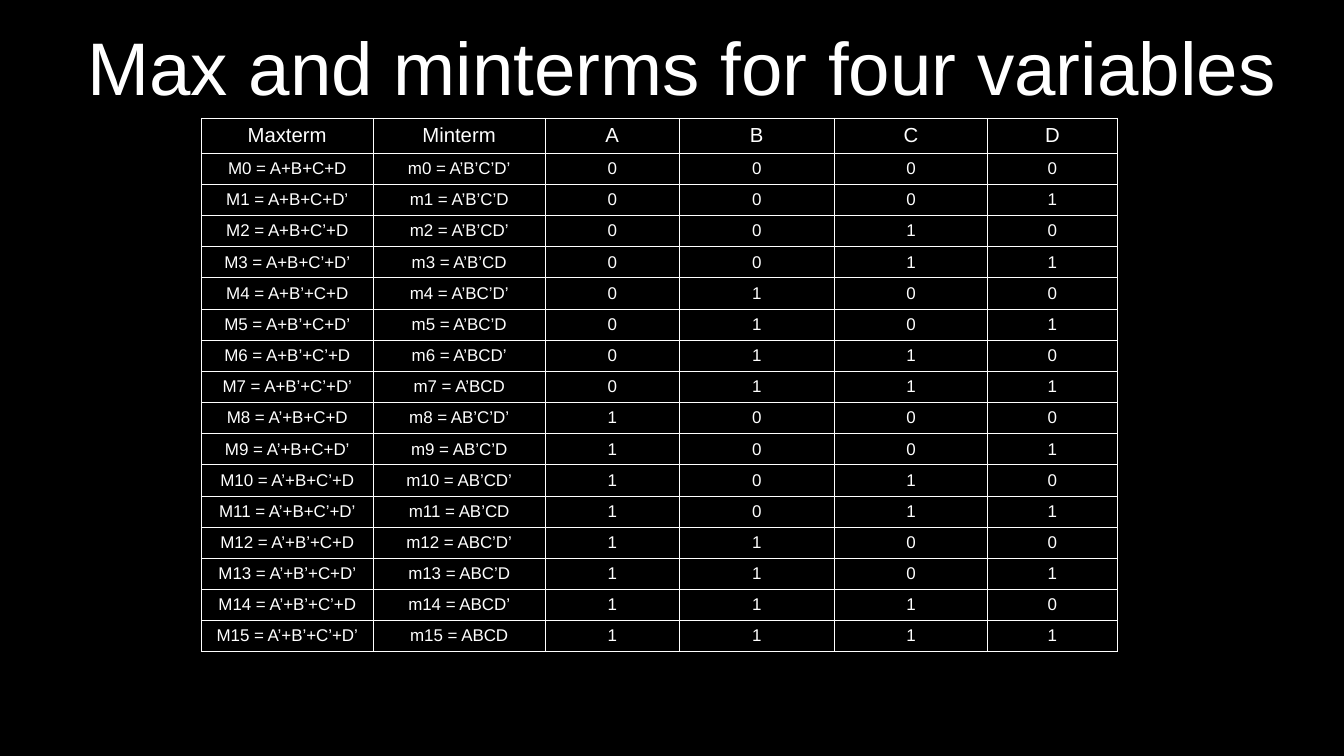
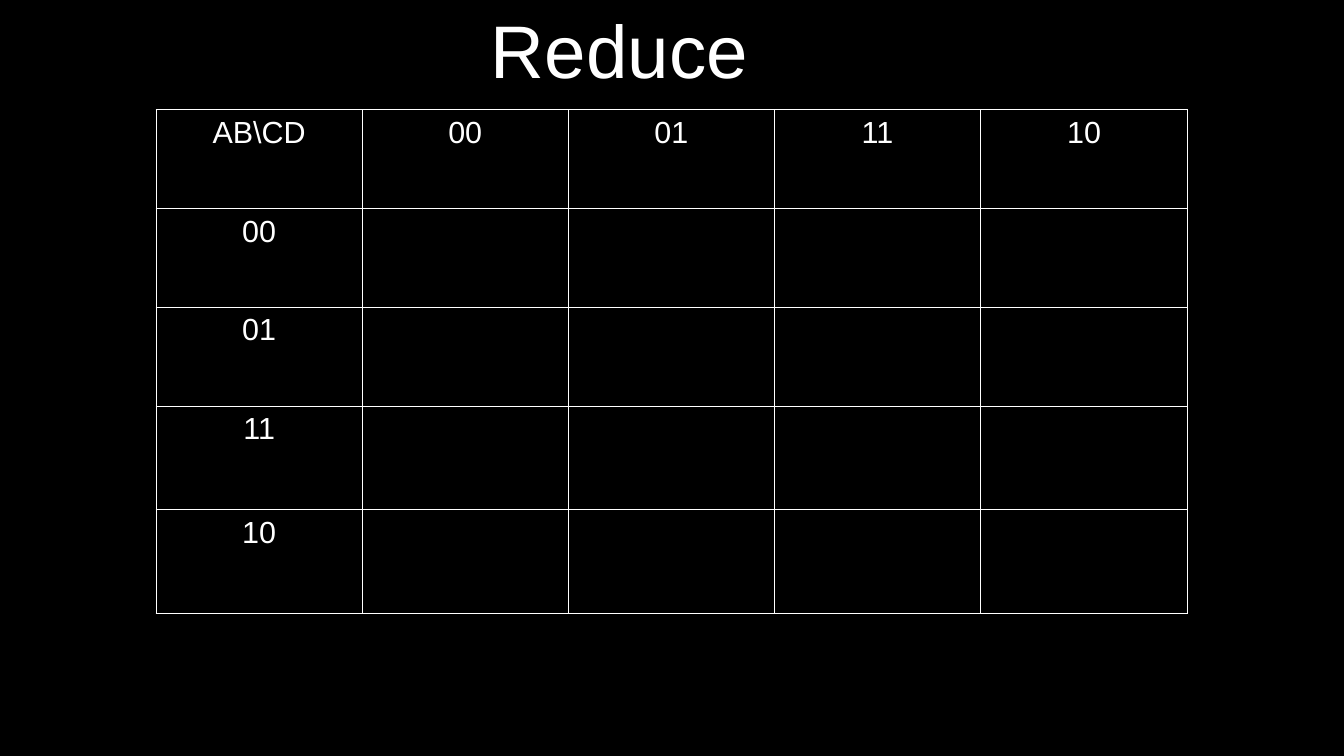
import itertools

import pptx
import pptx.dml.color
import pptx.enum.text
import pptx.oxml
import pptx.oxml.ns
import pptx.util

Inches, Pt = pptx.util.Inches, pptx.util.Pt
CENTER = pptx.enum.text.PP_ALIGN.CENTER
MIDDLE = pptx.enum.text.MSO_ANCHOR.MIDDLE

# Shared style
BLACK, WHITE, FONT = "000000", "FFFFFF", "Arial"
TITLE_SIZE, BORDER = 44, Pt(0.57)
MARGIN_X, MARGIN_Y = Inches(0.04), Inches(0.05)

# Content: truth table of four variables, and an empty Karnaugh map
VARIABLES = "ABCD"
GRAY_CODE = ["00", "01", "11", "10"]


def literals(bits, primed_bit, joiner):
    return joiner.join(v + ("’" if b == primed_bit else "")
                       for v, b in zip(VARIABLES, bits))


term_rows = [["Maxterm", "Minterm", *VARIABLES]]
for i, bits in enumerate(itertools.product("01", repeat=len(VARIABLES))):
    term_rows.append([f"M{i} = {literals(bits, '1', '+')}",
                      f"m{i} = {literals(bits, '0', '')}", *bits])

map_rows = [["AB\\CD", *GRAY_CODE]]
map_rows += [[code] + [""] * len(GRAY_CODE) for code in GRAY_CODE]

SLIDES = [
    dict(title="Max and minterms for four variables",
         title_box=(0.16, 0, 10.87, 1.08),
         rows=term_rows, origin=(1.65, 0.97),
         widths=[1.41, 1.41, 1.1, 1.27, 1.26, 1.06],
         heights=[0.23] * len(term_rows), header_size=12, body_size=10),
    dict(title="Reduce",
         title_box=(0.16, 0.04, 9.84, 0.72),
         rows=map_rows, origin=(1.28, 0.9),
         widths=[1.69] * 4 + [1.7],
         heights=[0.81] * 3 + [0.85] * 2, header_size=18, body_size=18),
]


def color(hex_string):
    return pptx.dml.color.RGBColor.from_string(hex_string)


def format_text(tf, size):
    for p in tf.paragraphs:
        p.alignment = CENTER
        for font in [p.font] + [r.font for r in p.runs]:
            font.name, font.size = FONT, Pt(size)
            font.color.rgb = color(WHITE)


def add_borders(cell):
    tc_pr = cell._tc.get_or_add_tcPr()
    for side in "LRTB":
        tc_pr.append(pptx.oxml.parse_xml(
            f'<a:ln{side} {pptx.oxml.ns.nsdecls("a")} w="{int(BORDER)}">'
            f'<a:solidFill><a:srgbClr val="{WHITE}"/></a:solidFill>'
            f'</a:ln{side}>'))


def set_title(s, text, box):
    title = s.shapes.title
    title.left, title.top, title.width, title.height = map(Inches, box)
    tf = title.text_frame
    tf.text = text
    tf.word_wrap = True
    tf.vertical_anchor = MIDDLE
    tf.auto_size = pptx.enum.text.MSO_AUTO_SIZE.NONE
    tf.margin_left = tf.margin_right = tf.margin_top = tf.margin_bottom = 0
    format_text(tf, TITLE_SIZE)


def add_grid(s, rows, origin, widths, heights, header_size, body_size):
    frame = s.shapes.add_table(
        len(rows), len(widths), *map(Inches, origin),
        Inches(sum(widths)), Inches(sum(heights)))
    table = frame.table
    table.first_row = table.horz_banding = False
    for column, width in zip(table.columns, widths):
        column.width = Inches(width)
    for r, (row, height) in enumerate(zip(rows, heights)):
        table.rows[r].height = Inches(height)
        for c, text in enumerate(row):
            cell = table.cell(r, c)
            cell.margin_left = cell.margin_right = MARGIN_X
            cell.margin_top = cell.margin_bottom = MARGIN_Y
            add_borders(cell)
            cell.fill.solid()
            cell.fill.fore_color.rgb = color(BLACK)
            cell.text_frame.text = text
            format_text(cell.text_frame, body_size if r else header_size)


def main():
    prs = pptx.Presentation()
    prs.slide_width, prs.slide_height = Inches(11.02), Inches(6.2)
    background = prs.slide_master.background.fill
    background.solid()
    background.fore_color.rgb = color(BLACK)
    title_only = prs.slide_layouts.get_by_name("Title Only")

    for content in SLIDES:
        s = prs.slides.add_slide(title_only)
        grid = dict(content)
        set_title(s, grid.pop("title"), grid.pop("title_box"))
        add_grid(s, **grid)

    prs.save("out.pptx")


if __name__ == "__main__":
    main()
